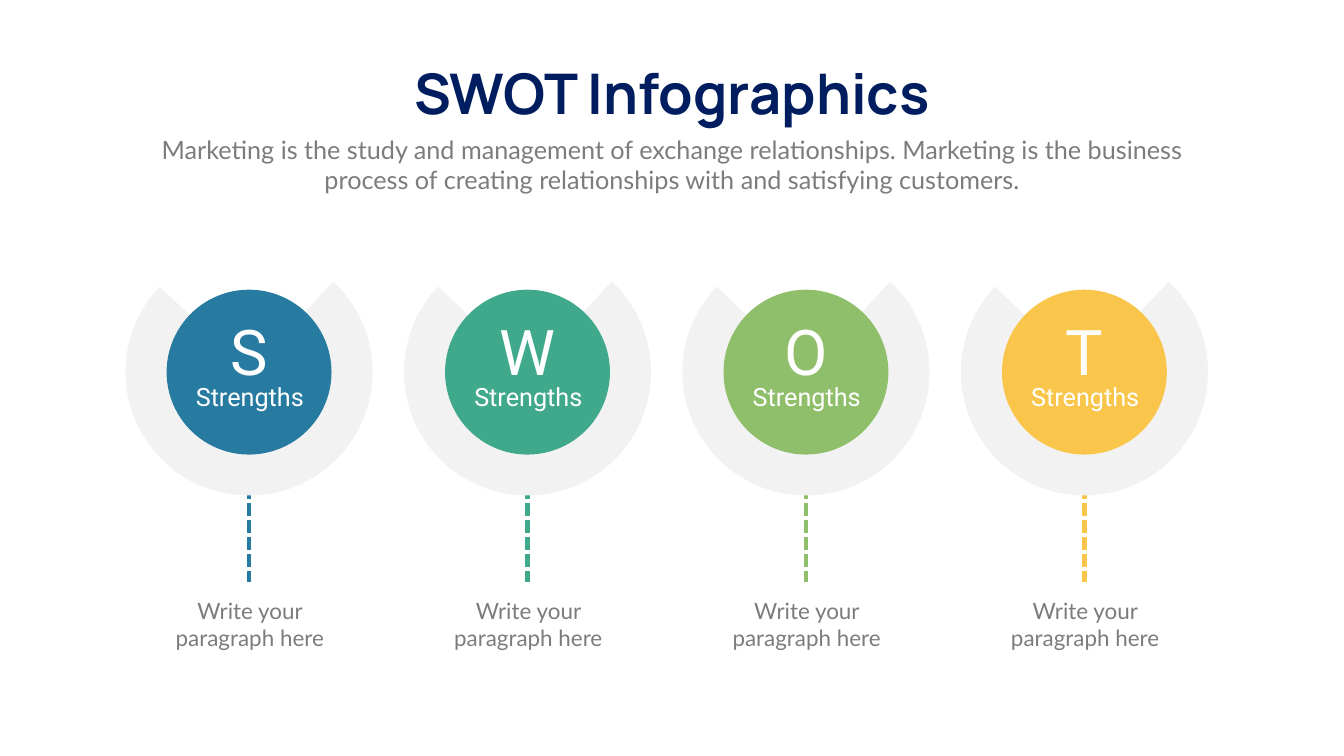
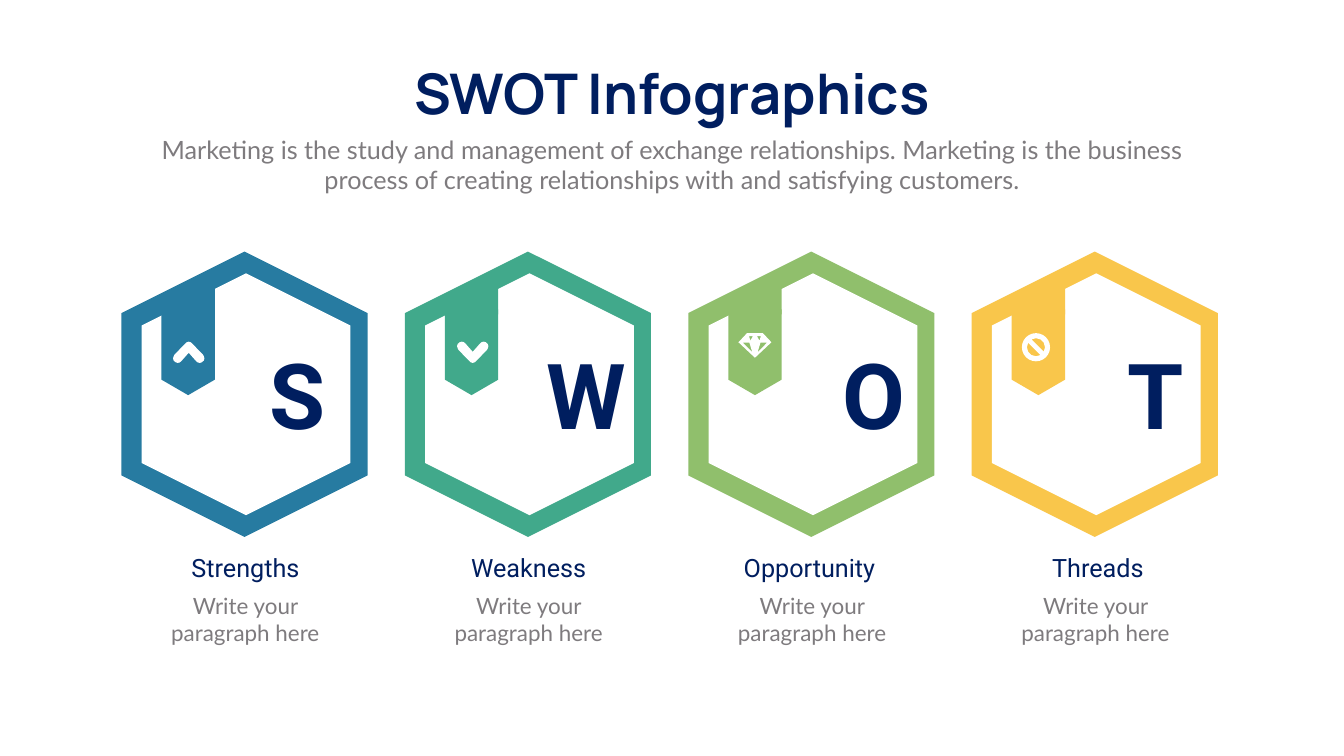
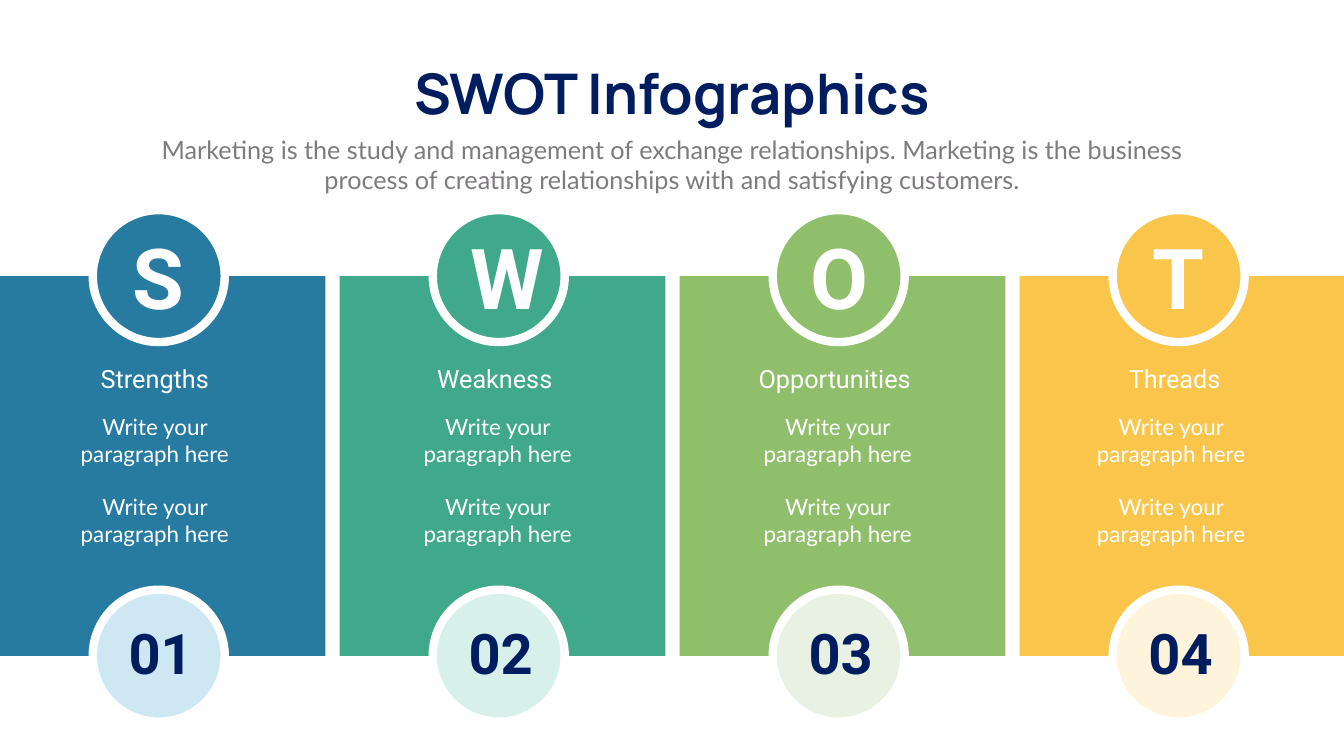
from lxml import etree
from pptx import Presentation
from pptx.dml.color import RGBColor
from pptx.enum.dml import MSO_LINE
from pptx.enum.shapes import MSO_CONNECTOR, MSO_SHAPE
from pptx.enum.text import MSO_AUTO_SIZE, PP_ALIGN
from pptx.oxml.ns import qn
from pptx.util import Cm, Pt

PIE, CIRCLE, RECTANGLE = MSO_SHAPE.PIE, MSO_SHAPE.OVAL, MSO_SHAPE.RECTANGLE
HEXAGON, PENTAGON = MSO_SHAPE.HEXAGON, MSO_SHAPE.PENTAGON
TRIANGLE, NO_SYMBOL = MSO_SHAPE.RIGHT_TRIANGLE, MSO_SHAPE.NO_SYMBOL
STRAIGHT = MSO_CONNECTOR.STRAIGHT
SHORT_DASH = MSO_LINE.SQUARE_DOT
CENTER = PP_ALIGN.CENTER
GROW = MSO_AUTO_SIZE.SHAPE_TO_FIT_TEXT

COLORS = {
    "navy": "001E5F", "gray": "7E7B7E", "light": "F2F2F2", "white": "FFFFFF",
    "blue": "277BA1", "teal": "41A98B", "green": "90BF6C", "yellow": "F9C64B",
    "pale blue": "CDE7F3", "pale teal": "D7F0E9",
    "pale green": "E9F2E2", "pale yellow": "FEF4DB",
}
SWOT = [("S", "blue"), ("W", "teal"), ("O", "green"), ("T", "yellow")]
TITLE = "SWOT Infographics"
INTRO = ("Marketing is the study and management of exchange relationships. "
         "Marketing is the business process of creating relationships with "
         "and satisfying customers.")
BODY = "Write your paragraph here"
SLIDE_WIDTH, SLIDE_HEIGHT = 67.72, 38.1

# Right half of a downward chevron, and the facets on the left of a diamond
CHEVRON_HALF = [(0, 0.51), (0.38, 0.08), (0.46, 0.02), (0.56, 0), (0.66, 0.03),
                (0.76, 0.12), (0.79, 0.23), (0.76, 0.33), (0.72, 0.41),
                (0.16, 0.99), (0.1, 1.04), (0, 1.07)]
CHEVRON_HEIGHT = 1.07
DIAMOND = [(0.4, 0), (-0.4, 0), (-0.83, 0.46), (0, 1.24), (0.83, 0.46)]
FACETS = [[(-0.61, 0.48), (-0.28, 0.48), (-0.13, 0.97)],
          [(-0.23, 0.38), (-0.3, 0.15), (-0.1, 0.15)]]


def rgb(color):
    return RGBColor.from_string(COLORS[color])


def paint(shape, color, border=None):
    shape.shadow.inherit = False
    shape.fill.solid()
    shape.fill.fore_color.rgb = rgb(color)
    if border:
        shape.line.color.rgb = rgb("white")
        shape.line.width = Pt(border)
    else:
        shape.line.fill.background()


def add_figure(page, kind, center, top, width, height, color,
               rotation=0, adjustments=(), border=None):
    """Add a preset shape centred on a horizontal position."""
    shape = page.shapes.add_shape(
        kind, Cm(center - width / 2), Cm(top), Cm(width), Cm(height))
    shape.rotation = rotation
    for index, value in enumerate(adjustments):
        shape.adjustments[index] = value
    paint(shape, color, border)
    return shape


def add_text(page, text, center, top, width, height, size=32, font="Lato",
             color="gray", bold=False, wrap=True):
    """Add a text box centred on a horizontal position."""
    box = page.shapes.add_textbox(
        Cm(center - width / 2), Cm(top), Cm(width), Cm(height))
    frame = box.text_frame
    frame.word_wrap = wrap
    frame.auto_size = GROW
    para = frame.paragraphs[0]
    para.alignment = CENTER
    span = para.add_run()
    span.text = text
    span.font.size = Pt(size)
    span.font.name = font
    span.font.bold = bold
    span.font.color.rgb = rgb(color)


def add_label(page, text, center, top, color):
    add_text(page, text, center, top, 8.28, 1.8,
             size=36, font="Roboto", color=color)


def add_dashed_line(page, x, top, bottom, color):
    line = page.shapes.add_connector(STRAIGHT, Cm(x), Cm(top), Cm(x), Cm(bottom))
    line.line.color.rgb = rgb(color)
    line.line.width = Pt(6)
    line.line.dash_style = SHORT_DASH
    etree.SubElement(line._element.spPr, qn("a:effectLst"))


def mirror(points):
    return [(-x, y) for x, y in points]


def add_outline(page, center, top, contours):
    """Add a white freeform; later contours cut holes in the first."""
    placed = [[(Cm(center + x), Cm(top + y)) for x, y in points]
              for points in contours]
    builder = page.shapes.build_freeform(*placed[0][0], scale=1.0)
    for index, points in enumerate(placed):
        if index:
            builder.move_to(*points[0])
        builder.add_line_segments(points[1:], close=True)
    paint(builder.convert_to_shape(), "white")


def add_chevron(page, center, up=False):
    points = CHEVRON_HALF + mirror(CHEVRON_HALF[-2:0:-1])
    if up:
        points = [(x, CHEVRON_HEIGHT - y) for x, y in points]
    add_outline(page, center, 17.22, [points])


def add_icon(page, letter, center):
    if letter == "S":
        add_chevron(page, center + 0.03, up=True)
    elif letter == "W":
        add_chevron(page, center + 0.06)
    elif letter == "O":
        add_outline(page, center, 16.79,
                    [DIAMOND] + FACETS + [mirror(facet) for facet in FACETS])
    else:
        add_figure(page, NO_SYMBOL, center - 0.12, 16.79, 1.42, 1.42, "white",
                   adjustments=[0.18])


def add_page(deck):
    """Add a blank slide with the shared title and introduction."""
    page = deck.slides.add_slide(deck.slide_layouts[6])
    middle = SLIDE_WIDTH / 2
    add_text(page, TITLE, middle, 2.84, 28.5, 3.68, size=80, font="Manrope",
             color="navy", bold=True, wrap=False)
    add_text(page, INTRO, middle, 6.63, 52.88, 3.33, size=36)
    return page


def build_circles(deck):
    page = add_page(deck)
    for column, (letter, color) in enumerate(SWOT):
        center = 12.55 + 14.03 * column
        add_dashed_line(page, center, 16.89, 29.34, color)
        add_figure(page, PIE, center, 12.52, 12.45, 12.45, "light",
                   rotation=315, adjustments=[214.8, 161.21])
        add_figure(page, CIRCLE, center, 14.6, 8.31, 8.31, color)
        add_text(page, letter, center, 15.65, 3.68, 4.11,
                 size=90, font="Roboto", color="white")
        add_label(page, "Strengths", center + 0.04, 19.08, "white")
        add_text(page, BODY, center + 0.04, 29.97, 7.98, 3)


def build_hexagons(deck):
    page = add_page(deck)
    # Heading, shift of the letter, shift of the heading
    details = [("Strengths", 2.67, 0.05), ("Weakness", 2.36, 0.04),
               ("Opportunity", 2.96, -0.09), ("Threads", 3.06, 0.16)]
    for column, (letter, color) in enumerate(SWOT):
        heading, letter_shift, heading_shift = details[column]
        center = 12.32 + 14.28 * column
        ribbon = center - 2.84
        add_figure(page, HEXAGON, center, 13.67, 14.38, 12.4, color, rotation=90)
        add_figure(page, HEXAGON, center + 0.08, 14.61, 12.19, 10.52, "white",
                   rotation=90)
        add_figure(page, PENTAGON, ribbon, 16.41, 4.32, 2.69, color,
                   rotation=90, adjustments=[0.29])
        fold = add_figure(page, TRIANGLE, ribbon, 14.5, 2.69, 1.35, color)
        fold._element.spPr.xfrm.set("flipH", "1")
        add_text(page, BODY, center + 0.04, 29.72, 9.65, 3)
        add_text(page, letter, center + letter_shift, 16.94, 3.3, 5.82,
                 size=130, font="Roboto", color="navy", bold=True)
        add_label(page, heading, center + heading_shift, 27.69, "navy")
        add_icon(page, letter, ribbon)


def build_panels(deck):
    page = add_page(deck)
    # Heading, shift of the paragraphs
    details = [("Strengths", -0.2), ("Weakness", -0.05),
               ("Opportunities", -0.05), ("Threads", -0.38)]
    for column, (letter, color) in enumerate(SWOT):
        heading, body_shift = details[column]
        center = 8 + 17.13 * column
        add_figure(page, RECTANGLE, center + 0.19, 13.92, 16.41, 19.13, color)
        for top, fill in ((10.59, color), (29.72, f"pale {color}")):
            add_figure(page, CIRCLE, center, top, 6.65, 6.65, fill, border=12)
        add_text(page, letter, center, 11.23, 3.3, 5.38,
                 size=120, font="Roboto", color="white", bold=True)
        add_label(page, heading, center - 0.2, 18.16, "white")
        add_text(page, f"{column + 1:02}", center + 0.1, 31.06, 4.98, 3.68,
                 size=80, font="Roboto", color="navy", bold=True)
        for top in (20.7, 24.71):
            add_text(page, BODY, center + body_shift, top, 7.98, 3, color="white")


def main():
    deck = Presentation()
    deck.slide_width, deck.slide_height = Cm(SLIDE_WIDTH), Cm(SLIDE_HEIGHT)
    build_circles(deck)
    build_hexagons(deck)
    build_panels(deck)
    deck.save("out.pptx")


if __name__ == "__main__":
    main()
